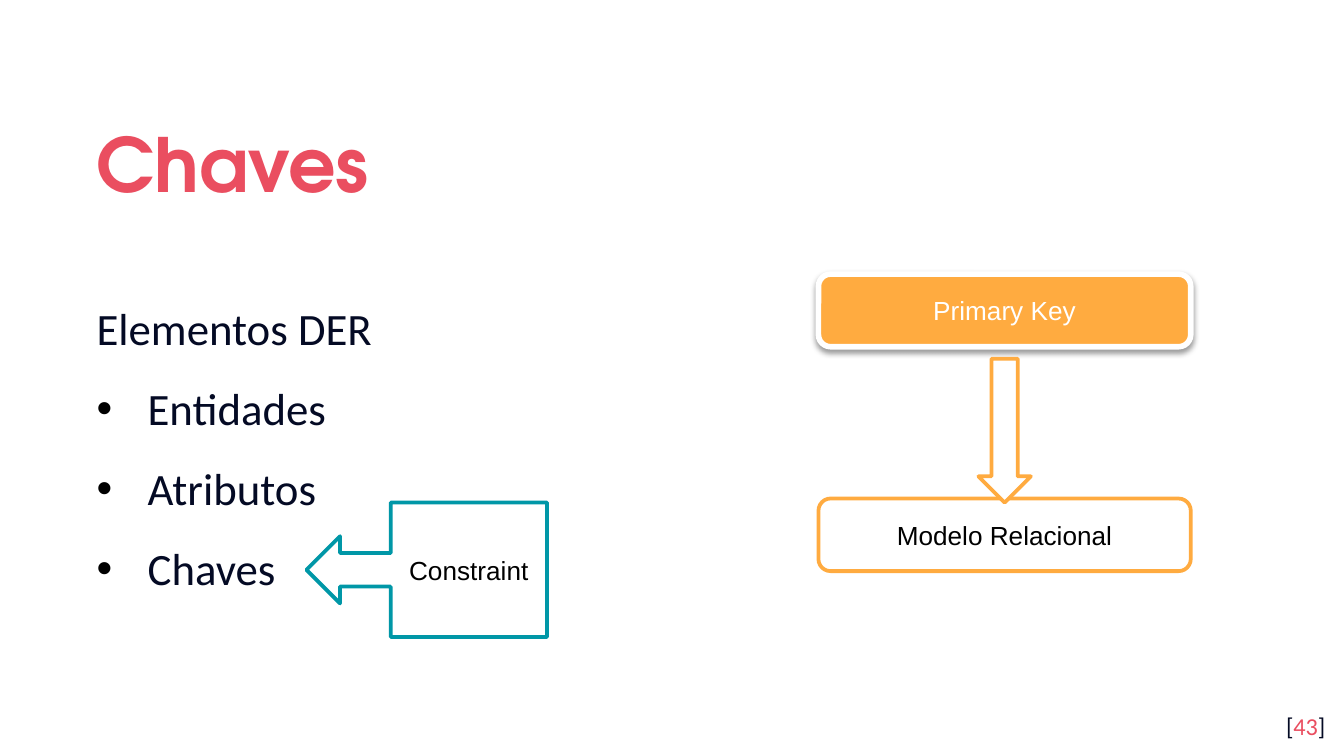
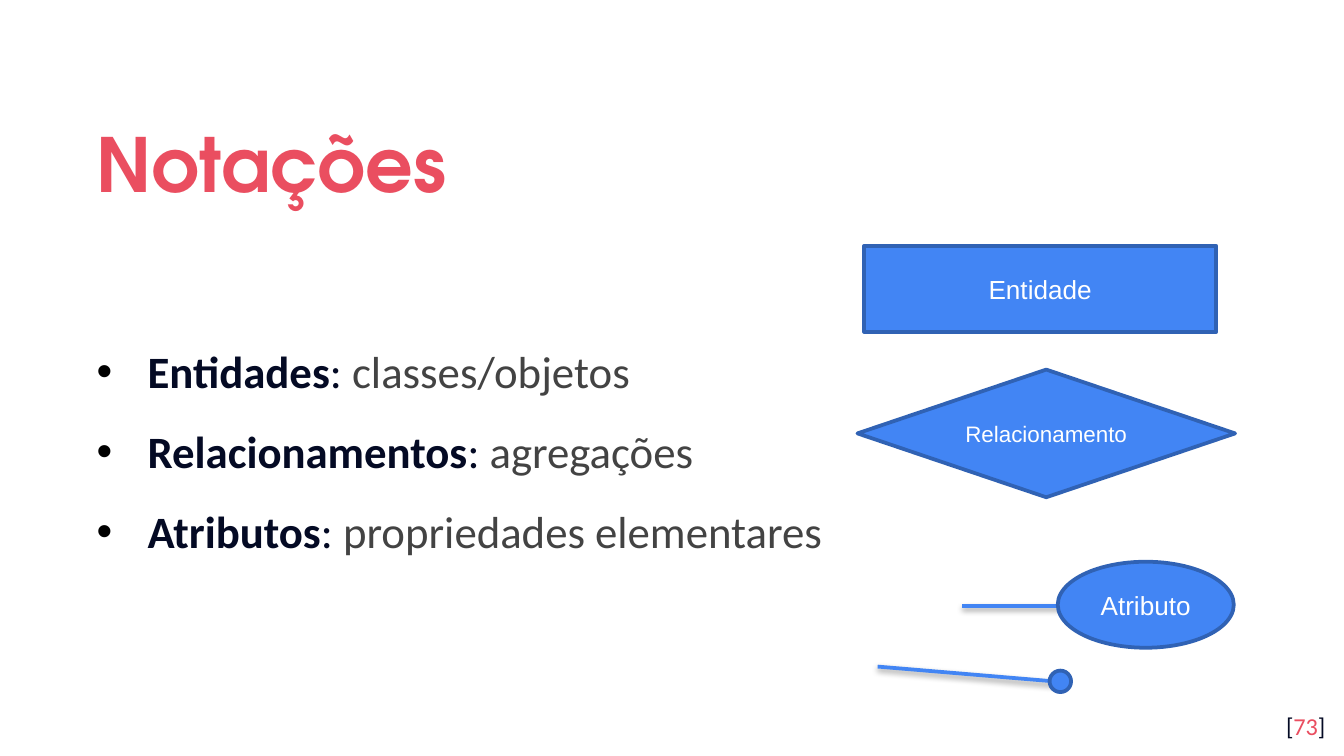
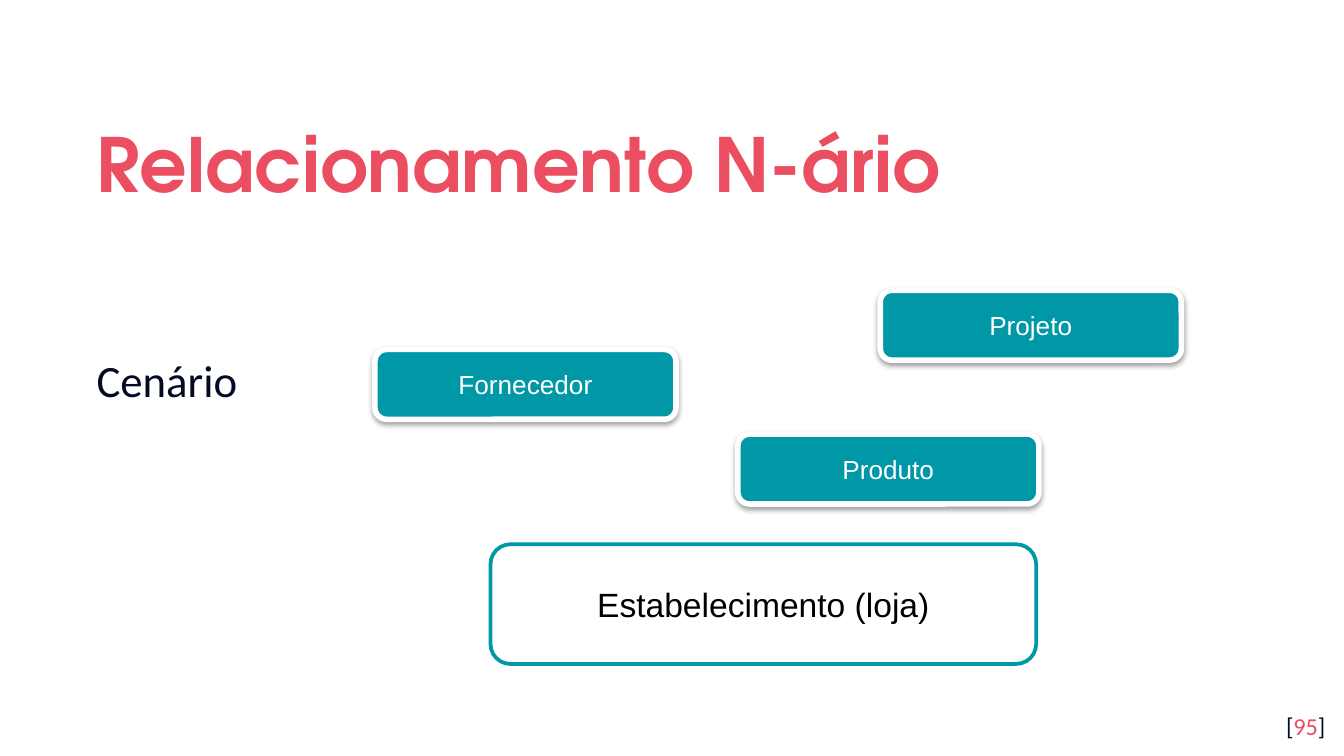
from dataclasses import dataclass

from lxml import etree
from pptx import Presentation
from pptx.dml.color import RGBColor
from pptx.enum.shapes import MSO_CONNECTOR, MSO_SHAPE
from pptx.enum.text import MSO_ANCHOR, PP_ALIGN
from pptx.oxml.ns import qn
from pptx.util import Inches, Pt

LEFT, CENTER = PP_ALIGN.LEFT, PP_ALIGN.CENTER
RIGHT, JUSTIFY = PP_ALIGN.RIGHT, PP_ALIGN.JUSTIFY
TOP, MIDDLE = MSO_ANCHOR.TOP, MSO_ANCHOR.MIDDLE
RECT, ROUND = MSO_SHAPE.RECTANGLE, MSO_SHAPE.ROUNDED_RECTANGLE
DIAMOND, OVAL = MSO_SHAPE.DIAMOND, MSO_SHAPE.OVAL
CALLOUT, ARROW = MSO_SHAPE.LEFT_ARROW_CALLOUT, MSO_SHAPE.DOWN_ARROW
STRAIGHT = MSO_CONNECTOR.STRAIGHT


@dataclass(frozen=True)
class Theme:
    # Colours
    accent: str = "EA4E60"
    ink: str = "040A24"
    gray: str = "434343"
    black: str = "000000"
    white: str = "FFFFFF"
    teal: str = "0097A7"
    amber: str = "FFAB40"
    blue: str = "4285F4"
    navy: str = "3062B4"
    # Fonts
    head: str = "TeX Gyre Adventor"
    body: str = "Calibri"
    label: str = "Arial"
    # Type sizes
    title: int = 40
    text: int = 24
    big: int = 18
    norm: int = 14
    small: int = 12
    page: int = 13


T = Theme()


def rgb(code):
    return RGBColor.from_string(code)


def set_font(font, name, size, color=None, bold=None):
    font.name, font.size, font.bold = name, Pt(size), bold
    if color:
        font.color.rgb = rgb(color)


def set_shadow(item, on):
    """Give the item a soft shadow below it, or none."""
    effects = etree.SubElement(item._element.spPr, qn("a:effectLst"))
    if on:
        outer = etree.SubElement(effects, qn("a:outerShdw"), blurRad="40000",
                                 dist="20000", dir="5400000", rotWithShape="0")
        color = etree.SubElement(outer, qn("a:srgbClr"), val=T.black)
        etree.SubElement(color, qn("a:alpha"), val="38000")


def add_box(slide, x, y, w, h, anchor=MIDDLE):
    shape = slide.shapes.add_textbox(Inches(x), Inches(y), Inches(w), Inches(h))
    frame = shape.text_frame
    frame.word_wrap = True
    frame.vertical_anchor = anchor
    frame.margin_left = frame.margin_right = Inches(0.1)
    frame.margin_top = frame.margin_bottom = Inches(0.1)
    return frame


def add_shape(slide, kind, x, y, w, h, fill, line, text="", color=T.white,
              size=T.norm, weight=2, shadow=False):
    shape = slide.shapes.add_shape(kind, Inches(x), Inches(y), Inches(w), Inches(h))
    shape.fill.solid()
    shape.fill.fore_color.rgb = rgb(fill)
    shape.line.color.rgb = rgb(line)
    shape.line.width = Pt(weight)
    set_shadow(shape, shadow)
    if text:
        frame = shape.text_frame
        frame.word_wrap = False
        frame.vertical_anchor = MIDDLE
        para = frame.paragraphs[0]
        para.text, para.alignment = text, CENTER
        set_font(para.font, T.label, size, color)


def add_card(slide, x, y, w, h, fill, text):
    """Filled card with a white rim and a shadow."""
    add_shape(slide, ROUND, x, y, w, h, fill, T.white, text, weight=3, shadow=True)


def add_frame(slide, kind, x, y, w, h, line, text="", size=T.norm):
    """White shape with a coloured outline."""
    add_shape(slide, kind, x, y, w, h, T.white, line, text, T.black, size)


def add_node(slide, kind, x, y, w, h, text="", size=T.norm):
    add_shape(slide, kind, x, y, w, h, T.blue, T.navy, text, size=size)


def add_link(slide, x1, y1, x2, y2):
    link = slide.shapes.add_connector(STRAIGHT, Inches(x1), Inches(y1),
                                      Inches(x2), Inches(y2))
    link.line.color.rgb = rgb(T.blue)
    link.line.width = Pt(2)
    set_shadow(link, True)


def add_bullet(para):
    props = para._p.get_or_add_pPr()
    props.set("marL", str(Inches(0.38)))
    props.set("indent", str(-Inches(0.38)))
    color = etree.SubElement(props, qn("a:buClr"))
    etree.SubElement(color, qn("a:srgbClr"), val=T.black)
    etree.SubElement(props, qn("a:buFont"), typeface="Arial")
    etree.SubElement(props, qn("a:buChar"), char="•")


def add_body(slide, x, y, w, h, lines, align=JUSTIFY):
    """Each line is (bulleted, runs); each run is (text, colour, bold)."""
    frame = add_box(slide, x, y, w, h)
    for i, (bullet, runs) in enumerate(lines):
        para = frame.add_paragraph() if i else frame.paragraphs[0]
        if bullet:
            add_bullet(para)
        para.alignment, para.line_spacing = align, 1.14
        if i:
            para.space_before = Pt(10)
        set_font(para.font, T.body, T.text)
        for text, color, bold in runs:
            run = para.add_run()
            run.text = text
            run.font.color.rgb = rgb(color)
            run.font.bold = bold


def add_page(deck, title, number):
    """New slide with its title and page number."""
    slide = deck.slides.add_slide(deck.slide_layouts[6])
    head = add_box(slide, 0.62, 0.7, 8.77, 0.92).paragraphs[0]
    head.text, head.alignment, head.line_spacing = title, LEFT, 1.14
    set_font(head.font, T.head, T.title, T.accent, True)

    foot = add_box(slide, 9.36, 5.19, 0.6, 0.43, TOP).paragraphs[0]
    foot.alignment = RIGHT
    set_font(foot.font, T.body, T.page)
    for text, color in (("[", T.ink), (str(number), T.accent), ("]", T.ink)):
        run = foot.add_run()
        run.text = text
        run.font.color.rgb = rgb(color)
    return slide


def draw_keys(slide, x, y, w):
    """Primary key leading down to the relational model."""
    add_card(slide, x, y, w, 0.54, T.amber, "Primary Key")
    add_frame(slide, ROUND, x, y + 1.67, w, 0.54, T.amber, "Modelo Relacional")
    add_frame(slide, ARROW, x + (w - 0.39) / 2, y + 0.63, 0.39, 1.07, T.amber)


def draw_legend(slide, x, y):
    """Symbols for entity, relationship and attribute."""
    add_node(slide, RECT, x + 0.05, y, 2.62, 0.64, "Entidade")
    add_node(slide, DIAMOND, x, y + 0.92, 2.81, 0.95, "Relacionamento", T.small)
    # Attribute as an oval
    add_link(slide, x + 0.78, y + 2.68, x + 1.71, y + 2.68)
    add_node(slide, OVAL, x + 1.49, y + 2.35, 1.31, 0.64, "Atributo")
    # Attribute as a dot
    add_link(slide, x + 0.15, y + 3.13, x + 1.46, y + 3.24)
    add_node(slide, OVAL, x + 1.43, y + 3.16, 0.16, 0.16)


def draw_store(slide, x, y):
    """Parties of the relationship above the shop they meet in."""
    add_frame(slide, ROUND, x + 0.86, y + 1.89, 4.06, 0.89, T.teal,
              "Estabelecimento (loja)", T.big)
    for dx, dy, name in ((0, 0.44, "Fornecedor"), (3.76, 0, "Projeto"),
                         (2.7, 1.07, "Produto")):
        add_card(slide, x + dx, y + dy, 2.24, 0.52, T.teal, name)


def build_keys(deck):
    slide = add_page(deck, "Chaves", 43)
    names = ("Elementos DER", "Entidades", "Atributos", "Chaves")
    lines = [(i > 0, [(name, T.ink, None)]) for i, name in enumerate(names)]
    add_body(slide, 0.62, 1.62, 4.62, 3.37, lines)
    add_frame(slide, CALLOUT, 2.28, 3.74, 1.79, 1, T.teal, "Constraint")
    draw_keys(slide, 6.09, 2.04, 2.77)


def build_legend(deck):
    slide = add_page(deck, "Notações", 73)
    terms = (("Entidades", "classes/objetos"), ("Relacionamentos", "agregações"),
             ("Atributos", "propriedades elementares"))
    lines = [(True, [(term, T.ink, True), (": ", T.ink, False), (sense, T.gray, False)])
             for term, sense in terms]
    add_body(slide, 0.62, 1.62, 5.69, 3.41, lines)
    draw_legend(slide, 6.38, 1.83)


def build_store(deck):
    slide = add_page(deck, "Relacionamento N-ário", 95)
    add_body(slide, 0.62, 1.62, 8.73, 2.36, [(False, [("Cenário", T.ink, None)])], LEFT)
    draw_store(slide, 2.79, 2.16)


def main():
    deck = Presentation()
    # Widescreen, 16:9
    deck.slide_width = Inches(10)
    deck.slide_height = Inches(10 * 9 / 16)
    for build in (build_keys, build_legend, build_store):
        build(deck)
    deck.save("out.pptx")


if __name__ == "__main__":
    main()
